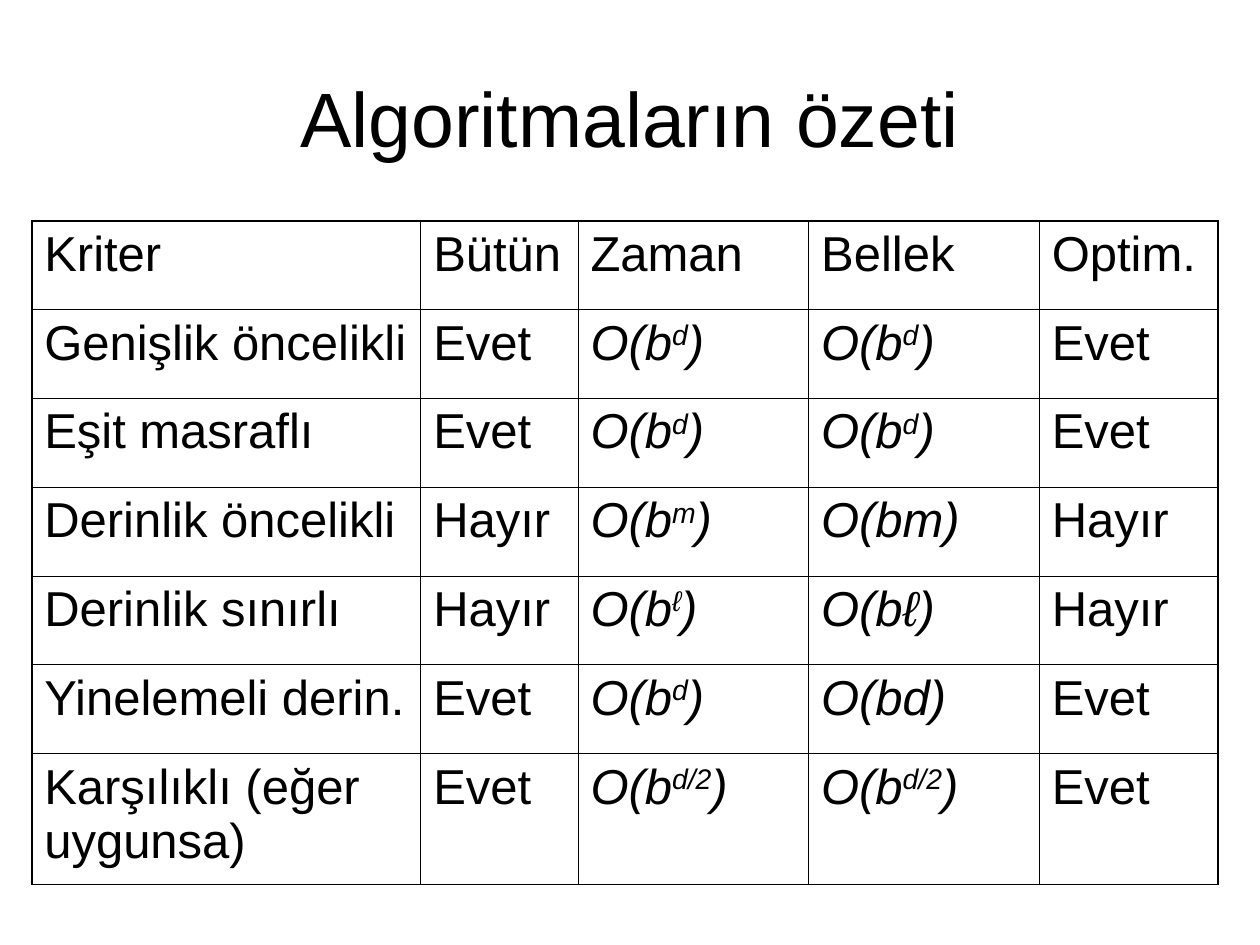
from dataclasses import dataclass

from lxml.etree import SubElement
from pptx import Presentation
from pptx.dml.color import RGBColor
from pptx.enum.text import MSO_ANCHOR, PP_ALIGN
from pptx.oxml.ns import qn
from pptx.util import Cm, Pt


@dataclass(frozen=True)
class Theme:
    font: str = "Arial"
    ink: str = "000000"
    title_size: int = 44
    cell_size: int = 28
    inner_line: float = 0.45
    outer_line: float = 1.08


theme = Theme()

COLUMN_WIDTHS = [7.84, 3.17, 4.65, 4.65, 3.61]
ROW_HEIGHTS = [1.79] * 6 + [2.64]

# A caret in a cell marks the exponent, which runs to the closing bracket.
ROWS = [
    ["Kriter", "Bütün", "Zaman", "Bellek", "Optim."],
    ["Genişlik öncelikli", "Evet", "O(b^d)", "O(b^d)", "Evet"],
    ["Eşit masraflı", "Evet", "O(b^d)", "O(b^d)", "Evet"],
    ["Derinlik öncelikli", "Hayır", "O(b^m)", "O(bm)", "Hayır"],
    ["Derinlik sınırlı", "Hayır", "O(b^ℓ)", "O(bℓ)", "Hayır"],
    ["Yinelemeli derin.", "Evet", "O(b^d)", "O(bd)", "Evet"],
    ["Karşılıklı (eğer uygunsa)", "Evet", "O(b^d/2)", "O(b^d/2)", "Evet"],
]


def style_font(font, size):
    font.name = theme.font
    font.size = Pt(size)
    font.color.rgb = RGBColor.from_string(theme.ink)


def add_border(cell, side, width):
    """Draw one side of a cell; side is L, R, T or B."""
    line = SubElement(cell._tc.get_or_add_tcPr(), qn(f"a:ln{side}"), w=str(Pt(width)))
    fill = SubElement(line, qn("a:solidFill"))
    SubElement(fill, qn("a:srgbClr"), val=theme.ink)


deck = Presentation()
deck.slide_width, deck.slide_height = Cm(25.4), Cm(19.05)
page = deck.slides.add_slide(deck.slide_layouts[6])

# Title
title_box = page.shapes.add_textbox(Cm(1.27), Cm(0.76), Cm(22.86), Cm(3.18))
title_frame = title_box.text_frame
title_frame.word_wrap = True
title_frame.vertical_anchor = MSO_ANCHOR.MIDDLE
title = title_frame.paragraphs[0]
title.text = "Algoritmaların özeti"
title.alignment = PP_ALIGN.CENTER
style_font(title.font, theme.title_size)

# Comparison table
table = page.shapes.add_table(
    len(ROWS), len(COLUMN_WIDTHS), Cm(0.64), Cm(4.45),
    Cm(sum(COLUMN_WIDTHS)), Cm(sum(ROW_HEIGHTS)),
).table
table.first_row = table.horz_banding = False
for column, width in zip(table.columns, COLUMN_WIDTHS):
    column.width = Cm(width)
for row, height in zip(table.rows, ROW_HEIGHTS):
    row.height = Cm(height)

last_row, last_column = len(ROWS) - 1, len(COLUMN_WIDTHS) - 1
for row_index, texts in enumerate(ROWS):
    for column_index, text in enumerate(texts):
        cell = table.cell(row_index, column_index)
        on_edge = {
            "L": column_index == 0,
            "R": column_index == last_column,
            "T": row_index == 0,
            "B": row_index == last_row,
        }
        for side, outer in on_edge.items():
            add_border(cell, side, theme.outer_line if outer else theme.inner_line)
        cell.fill.background()

        para = cell.text_frame.paragraphs[0]
        style_font(para.font, theme.cell_size)
        para.font.italic = text.startswith("O(")
        base, caret, power = text.partition("^")
        para.add_run().text = base
        if caret:
            exponent = para.add_run()
            exponent.text = power.removesuffix(")")
            exponent._r.get_or_add_rPr().set("baseline", "30000")
            para.add_run().text = ")"

deck.save("out.pptx")
